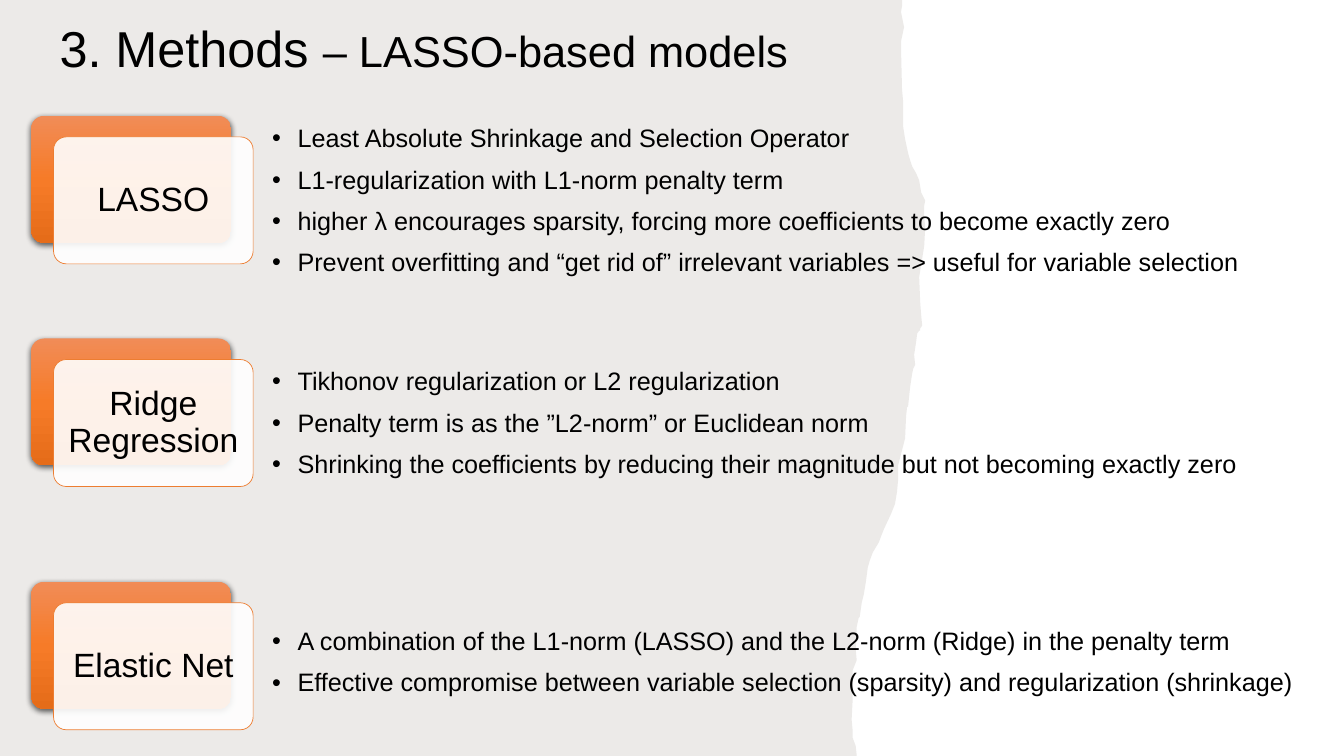
from copy import deepcopy

from lxml.etree import SubElement
from pptx import Presentation
from pptx.dml.color import RGBColor
from pptx.enum.shapes import MSO_SHAPE as Shape
from pptx.enum.text import MSO_ANCHOR as Anchor, MSO_AUTO_SIZE as AutoSize, PP_ALIGN as Align
from pptx.oxml.ns import qn
from pptx.util import Cm, Pt

# Content
TITLE = [("3. Methods ", 36), ("– LASSO-based models", 31)]
# name, top of the card, (top, width, height) of the bullets, bullets
METHODS = [
    ("LASSO", 2.92, (3.05, 25.37, 4.32), [
        "Least Absolute Shrinkage and Selection Operator",
        "L1-regularization with L1-norm penalty term",
        "higher λ encourages sparsity, forcing more coefficients to become exactly zero",
        "Prevent overfitting and “get rid of” irrelevant variables => useful for variable selection",
    ]),
    ("Ridge Regression", 8.53, (9.17, 26.62, 2.24), [
        "Tikhonov regularization or L2 regularization",
        "Penalty term is as the ”L2-norm” or Euclidean norm",
        "Shrinking the coefficients by reducing their magnitude but not becoming exactly zero",
    ]),
    ("Elastic Net", 14.66, (15.72, 27, 2.64), [
        "A combination of the L1-norm (LASSO) and the L2-norm (Ridge) in the penalty term",
        "Effective compromise between variable selection (sparsity) and regularization (shrinkage)",
    ]),
]
COLORS = {"paper": "82766A", "text": "000000", "card": "FFFFFF", "outline": "ED7D31",
          "shadow": "000000", "top": "F18C57", "middle": "F67B28", "bottom": "E56C19"}
FONT = "Arial"

# Torn edge of the paper from top to bottom, in units of EDGE_UNIT
EDGE_UNIT = Cm(0.0254)
EDGE = [
    (895, 0), (895, 6), (894, 12), (897, 27), (894, 41), (894, 49), (895, 89), (896, 100),
    (896, 108), (896, 125), (898, 138), (901, 152), (903, 159), (905, 165), (909, 172),
    (912, 179), (914, 191), (918, 199), (917, 204), (917, 216), (918, 225), (917, 244),
    (912, 275), (913, 300), (914, 313), (915, 323), (913, 326), (913, 328), (912, 328),
    (910, 331), (909, 339), (907, 352), (908, 362), (906, 366), (905, 371), (903, 384),
    (901, 403), (900, 404), (899, 413), (898, 435), (891, 462), (891, 477), (890, 488),
    (888, 500), (884, 510), (877, 525), (875, 530), (872, 538), (866, 548), (863, 556),
    (861, 563), (859, 578), (857, 590), (855, 598), (854, 605), (853, 612), (852, 613),
    (850, 622), (850, 629), (849, 644), (850, 655), (846, 665), (846, 694), (845, 714),
    (846, 725), (846, 732), (849, 740), (850, 749), (850, 750),
]

# Layout in centimetres
CARD_LEFT, CARD_SIZE = 0.79, (5.03, 3.2)
FRONT_SHIFT = (0.56, 0.53)
LABEL_MARGIN = 0.1
BULLET_LEFT = 6.86


def color(name):
    return RGBColor.from_string(COLORS[name])


def add_alpha(parent, percent):
    SubElement(parent, qn("a:alpha"), val=str(percent * 1000))


def fill_solid(shape, name, alpha):
    shape.fill.solid()
    shape.fill.fore_color.rgb = color(name)
    add_alpha(shape.fill._xPr.find(".//" + qn("a:srgbClr")), alpha)


def fill_gradient(shape, names):
    shape.fill.gradient()
    shape.fill.gradient_angle = 270
    first = shape._element.spPr.find(".//" + qn("a:gs"))
    first.addnext(deepcopy(first))
    for number, (stop, name) in enumerate(zip(shape.fill.gradient_stops, names)):
        stop.color.rgb = color(name)
        stop.position = number / (len(names) - 1)


def add_shadow(shape):
    effects = shape._element.spPr.find(qn("a:effectLst"))
    outer = SubElement(effects, qn("a:outerShdw"), blurRad=str(Pt(4.5)), dist=str(Pt(1.5)),
                       dir="5400000", algn="ctr", rotWithShape="0")
    add_alpha(SubElement(outer, qn("a:srgbClr"), val=COLORS["shadow"]), 63)


def add_card(page, left, top):
    card = page.shapes.add_shape(Shape.ROUNDED_RECTANGLE, Cm(left), Cm(top),
                                 *map(Cm, CARD_SIZE))
    card.adjustments[0] = 0.1
    card.shadow.inherit = False
    return card


def add_bullet(para):
    props = para._p.get_or_add_pPr()
    props.set("marL", str(Cm(0.64)))
    props.set("indent", str(-Cm(0.64)))
    SubElement(props, qn("a:buFont"), typeface=FONT)
    SubElement(props, qn("a:buChar"), char="•")


def write(box, paragraphs, insets=(0, 0.13, 0.25, 0.13), align=Align.LEFT,
          anchor=Anchor.TOP, bullets=False):
    """Write paragraphs, each a list of (text, size) pairs."""
    frame = box.text_frame
    frame.word_wrap = True
    frame.auto_size = AutoSize.NONE
    frame.vertical_anchor = anchor
    (frame.margin_left, frame.margin_top,
     frame.margin_right, frame.margin_bottom) = map(Cm, insets)
    for number, spans in enumerate(paragraphs):
        para = frame.add_paragraph() if number else frame.paragraphs[0]
        para.alignment = align
        para.line_spacing = 0.9
        para.space_before = Pt(10 if number else 0)
        if bullets:
            add_bullet(para)
        for text, size in spans:
            span = para.add_run()
            span.text = text
            span.font.name = FONT
            span.font.size = Pt(size)
            span.font.color.rgb = color("text")


def main():
    deck = Presentation()
    deck.slide_width, deck.slide_height = Cm(33.87), Cm(19.05)
    page = deck.slides.add_slide(deck.slide_layouts[5])

    # Title
    title = page.shapes.title
    title.left, title.top, title.width, title.height = map(Cm, (1.5, 0.48, 25.37, 1.27))
    write(title, [TITLE])

    # Torn paper behind everything
    outline = page.shapes.build_freeform(0, 0, scale=EDGE_UNIT)
    outline.add_line_segments(EDGE + [(0, 750)], close=True)
    paper = outline.convert_to_shape()
    paper.shadow.inherit = False
    fill_solid(paper, "paper", 15)
    paper.line.fill.background()
    title._element.addprevious(paper._element)

    for name, top, (bullet_top, width, height), bullets in METHODS:
        # Orange card with a pale card in front
        back = add_card(page, CARD_LEFT, top)
        fill_gradient(back, ("top", "middle", "bottom"))
        back.line.fill.background()
        add_shadow(back)

        front_left, front_top = CARD_LEFT + FRONT_SHIFT[0], top + FRONT_SHIFT[1]
        front = add_card(page, front_left, front_top)
        fill_solid(front, "card", 90)
        front.line.color.rgb = color("outline")
        front.line.width = Pt(0.5)

        # Method name
        label = page.shapes.add_textbox(
            Cm(front_left + LABEL_MARGIN), Cm(front_top + LABEL_MARGIN),
            *(Cm(side - 2 * LABEL_MARGIN) for side in CARD_SIZE))
        write(label, [[(name, 24)]], insets=(0.24,) * 4, align=Align.CENTER,
              anchor=Anchor.MIDDLE)

        # Bullets
        box = page.shapes.add_textbox(*map(Cm, (BULLET_LEFT, bullet_top, width, height)))
        write(box, [[(text, 18)] for text in bullets], bullets=True)

    deck.save("out.pptx")


if __name__ == "__main__":
    main()
